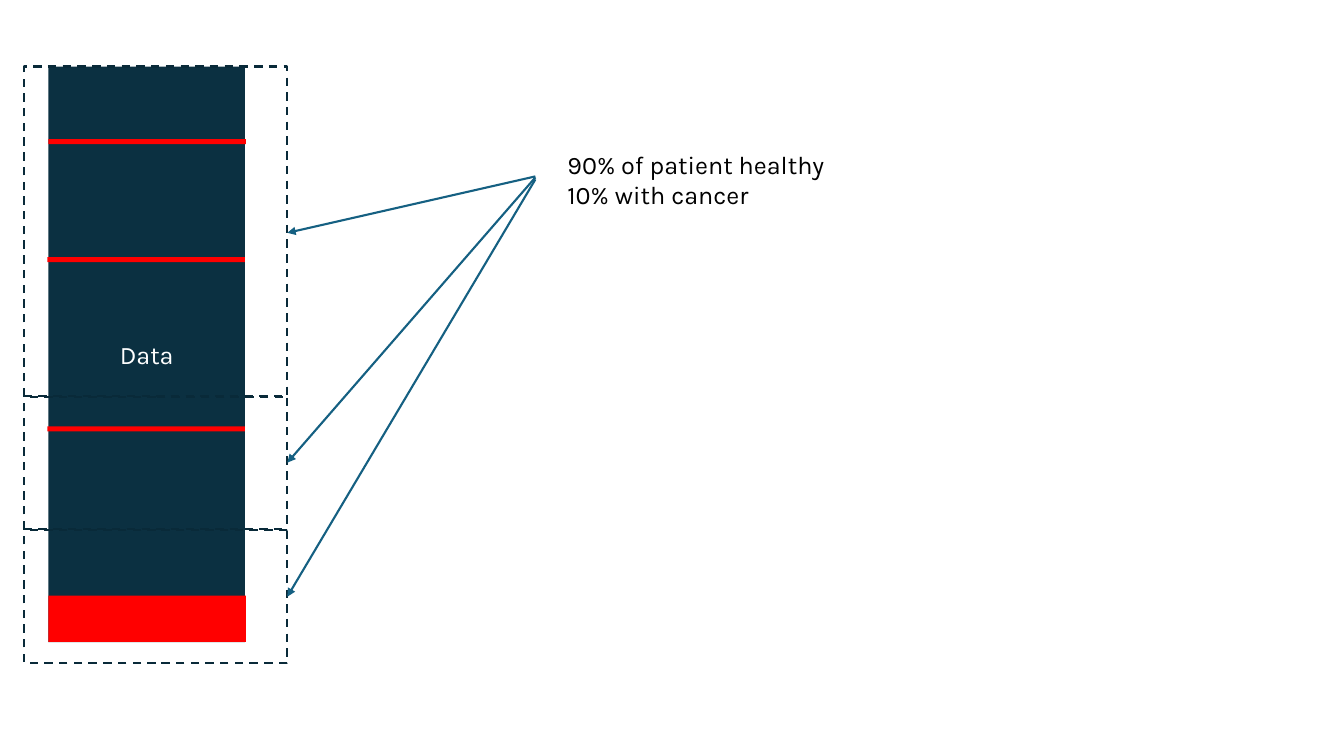
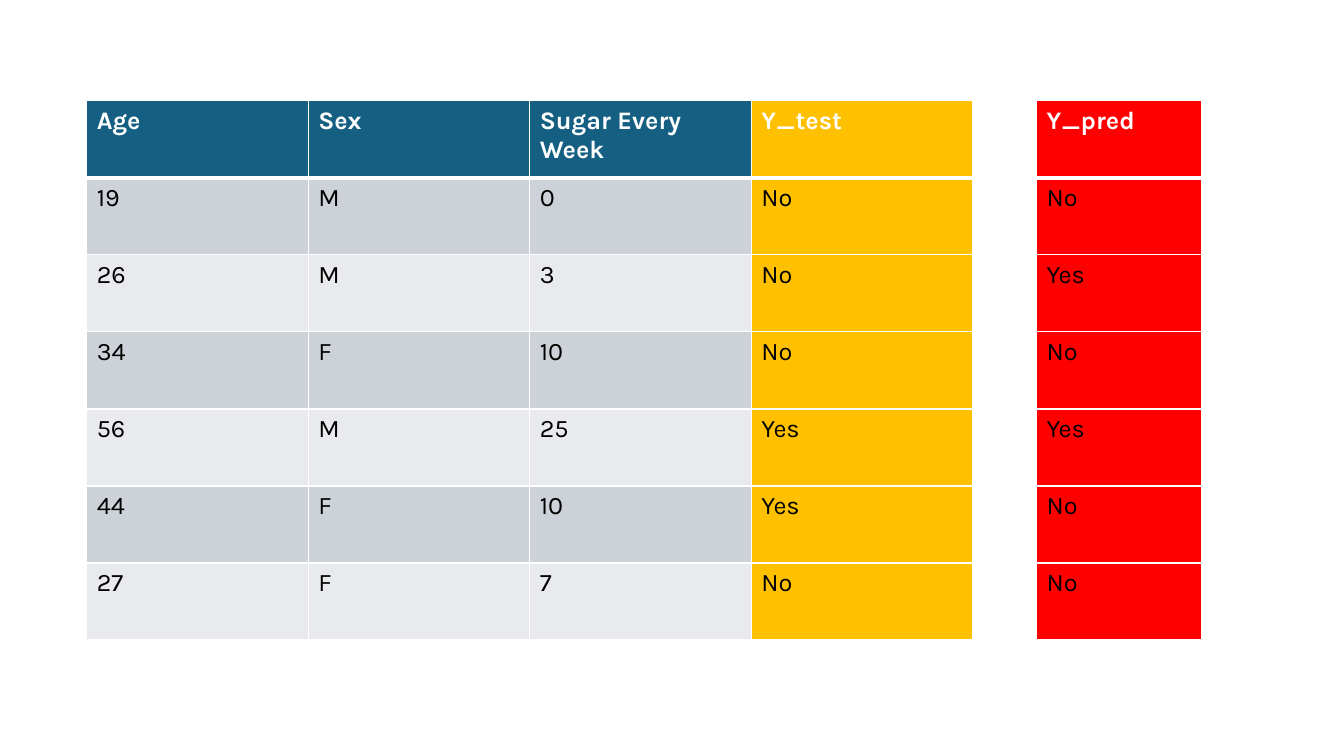
from dataclasses import dataclass

from lxml import etree
from pptx import Presentation
from pptx.dml.color import RGBColor
from pptx.enum.dml import MSO_LINE
from pptx.enum.shapes import MSO_CONNECTOR, MSO_SHAPE
from pptx.enum.text import MSO_ANCHOR, PP_ALIGN
from pptx.oxml.ns import qn
from pptx.util import Inches, Pt

RECT = MSO_SHAPE.RECTANGLE
STRAIGHT = MSO_CONNECTOR.STRAIGHT
DASH = MSO_LINE.DASH
MIDDLE = MSO_ANCHOR.MIDDLE
CENTER = PP_ALIGN.CENTER
BLANK_LAYOUT = 6


@dataclass(frozen=True)
class Theme:
    font: str = "Karla"
    size: float = 18
    line: float = 1.5
    grid: float = 1
    header_rule: float = 3
    white: str = "FFFFFF"
    black: str = "000000"
    navy: str = "0B3041"
    outline: str = "092A39"
    teal: str = "156082"
    red: str = "FF0000"
    amber: str = "FFC000"
    bands: tuple = ("CCD2D8", "E8EAED")


THEME = Theme()


def rgb(value):
    return RGBColor.from_string(value)


def style_text(tf, color, bold=False):
    for p in tf.paragraphs:
        for r in p.runs:
            r.font.name = THEME.font
            r.font.size = Pt(THEME.size)
            r.font.bold = bold
            r.font.color.rgb = rgb(color)


def add_block(s, left, top, width, height, fill):
    """Filled rectangle without an outline."""
    sp = s.shapes.add_shape(RECT, *map(Inches, (left, top, width, height)))
    sp.shadow.inherit = False
    sp.fill.solid()
    sp.fill.fore_color.rgb = rgb(fill)
    sp.line.fill.background()
    return sp


def add_dashed_frame(s, left, top, width, height):
    sp = s.shapes.add_shape(RECT, *map(Inches, (left, top, width, height)))
    sp.shadow.inherit = False
    sp.fill.background()
    sp.line.color.rgb = rgb(THEME.outline)
    sp.line.width = Pt(THEME.line)
    sp.line.dash_style = DASH


def add_text(s, left, top, width, height, text):
    sp = s.shapes.add_textbox(*map(Inches, (left, top, width, height)))
    tf = sp.text_frame
    tf.word_wrap = True
    tf.text = text
    style_text(tf, THEME.black)


def add_arrow(s, start, end):
    line = s.shapes.add_connector(STRAIGHT, *map(Inches, start + end))
    line.line.color.rgb = rgb(THEME.teal)
    line.line.width = Pt(THEME.line)
    ln = line.line._get_or_add_ln()
    etree.SubElement(ln, qn("a:tailEnd"), type="triangle")
    etree.SubElement(line._element.spPr, qn("a:effectLst"))


def set_borders(cell, widths):
    """Draw white borders; widths are in points, by side."""
    tc_pr = cell._tc.get_or_add_tcPr()
    for side, width in widths.items():
        ln = etree.SubElement(tc_pr, qn(f"a:ln{side}"), w=str(Pt(width)))
        fill = etree.SubElement(ln, qn("a:solidFill"))
        etree.SubElement(fill, qn("a:srgbClr"), val=THEME.white)


def add_table(s, left, top, width, height, rows, fill_for):
    """Table with equal rows and columns; fill_for(row, column) picks the fill."""
    frame = s.shapes.add_table(len(rows), len(rows[0]),
                               *map(Inches, (left, top, width, height)))
    table = frame.table
    for col in table.columns:
        col.width = Inches(width / len(rows[0]))
    for i, values in enumerate(rows):
        table.rows[i].height = Inches(height / len(rows))
        for j, value in enumerate(values):
            cell = table.cell(i, j)
            header = i == 0
            widths = dict.fromkeys("LRTB", THEME.grid)
            if header:
                widths["B"] = THEME.header_rule
            elif i == 1:
                widths["T"] = THEME.header_rule
            set_borders(cell, widths)
            cell.fill.solid()
            cell.fill.fore_color.rgb = rgb(fill_for(i, j))
            cell.text_frame.text = value
            style_text(cell.text_frame, THEME.white if header else THEME.black, header)


def build_split_slide(prs):
    s = prs.slides.add_slide(prs.slide_layouts[BLANK_LAYOUT])

    # Data column with its cancer cases
    data = add_block(s, 0.48, 0.66, 1.95, 5.71, THEME.navy)
    tf = data.text_frame
    tf.text = "Data"
    tf.vertical_anchor = MIDDLE
    tf.paragraphs[0].alignment = CENTER
    style_text(tf, THEME.white)
    for left, top, height in ((0.48, 1.38, 0.05), (0.47, 2.55, 0.05),
                              (0.47, 4.23, 0.05), (0.48, 5.91, 0.46)):
        add_block(s, left, top, 1.96, height, THEME.red)

    # Dashed splits
    for top, height in ((0.66, 3.28), (3.93, 1.33), (5.25, 1.33)):
        add_dashed_frame(s, 0.24, top, 2.61, height)

    # Class balance, pointing at each split
    add_text(s, 5.53, 1.43, 5.27, 0.71, "90% of patient healthy\n10% with cancer")
    for start_y, end_y in ((1.75, 2.31), (1.76, 4.59), (1.78, 5.92)):
        add_arrow(s, (5.31, start_y), (2.85, end_y))


def build_prediction_slide(prs):
    s = prs.slides.add_slide(prs.slide_layouts[BLANK_LAYOUT])
    patients = (
        ("Age", "Sex", "Sugar Every Week", "Y_test"),
        ("19", "M", "0", "No"),
        ("26", "M", "3", "No"),
        ("34", "F", "10", "No"),
        ("56", "M", "25", "Yes"),
        ("44", "F", "10", "Yes"),
        ("27", "F", "7", "No"),
    )
    predictions = ("Y_pred", "No", "Yes", "No", "Yes", "No", "No")

    def patient_fill(row, col):
        if col == 3:
            return THEME.amber
        return THEME.teal if row == 0 else THEME.bands[(row - 1) % 2]

    # Test data beside the predicted labels
    add_table(s, 0.86, 1, 8.79, 5.35, patients, patient_fill)
    add_table(s, 10.28, 1, 1.64, 5.35, [(label,) for label in predictions],
              lambda row, col: THEME.red)


def main():
    prs = Presentation()
    prs.slide_width = Inches(13.33)
    prs.slide_height = Inches(7.5)
    build_split_slide(prs)
    build_prediction_slide(prs)
    prs.save("out.pptx")


if __name__ == "__main__":
    main()
